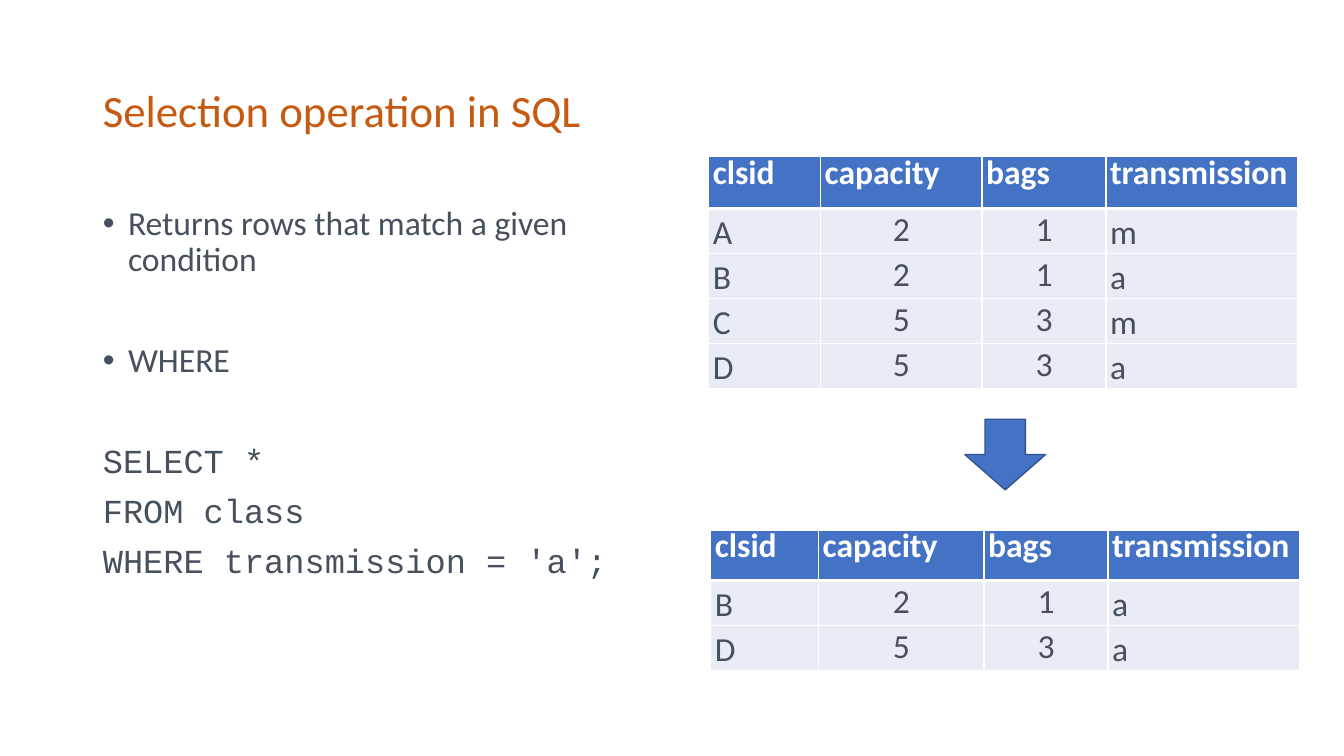
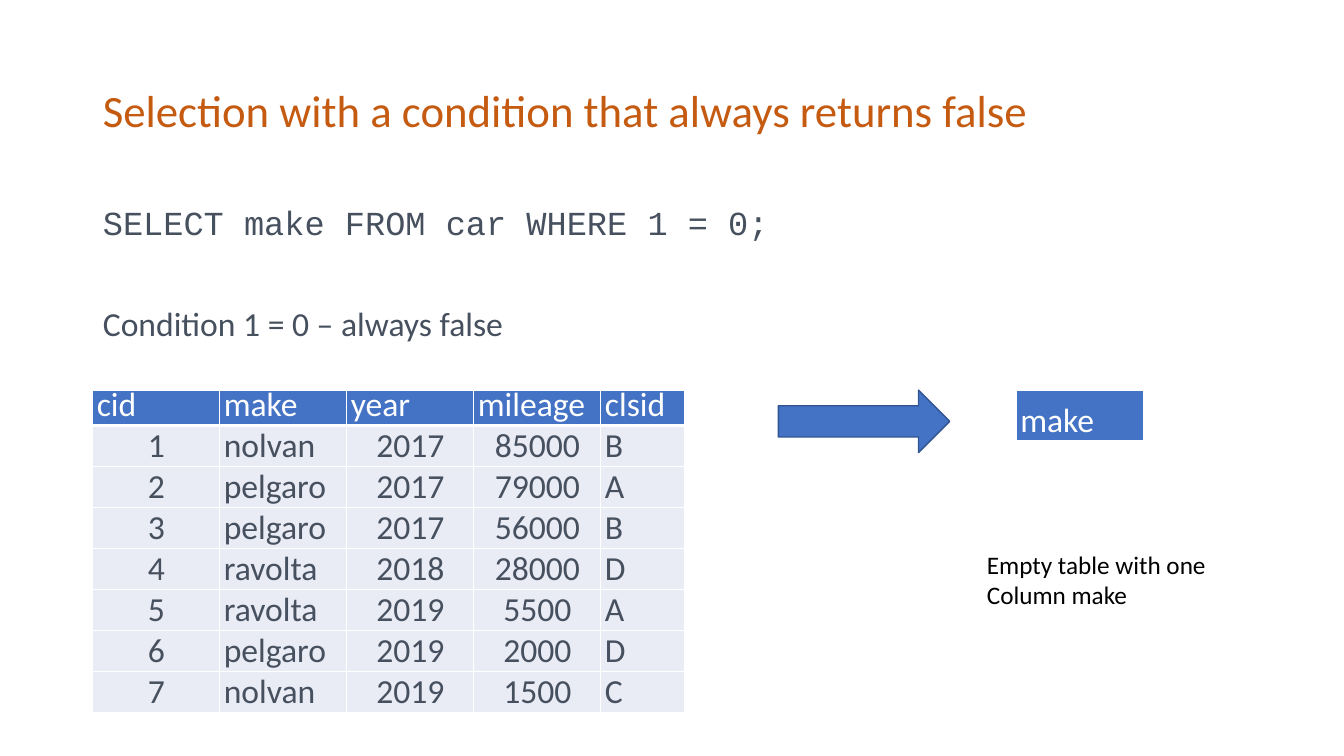
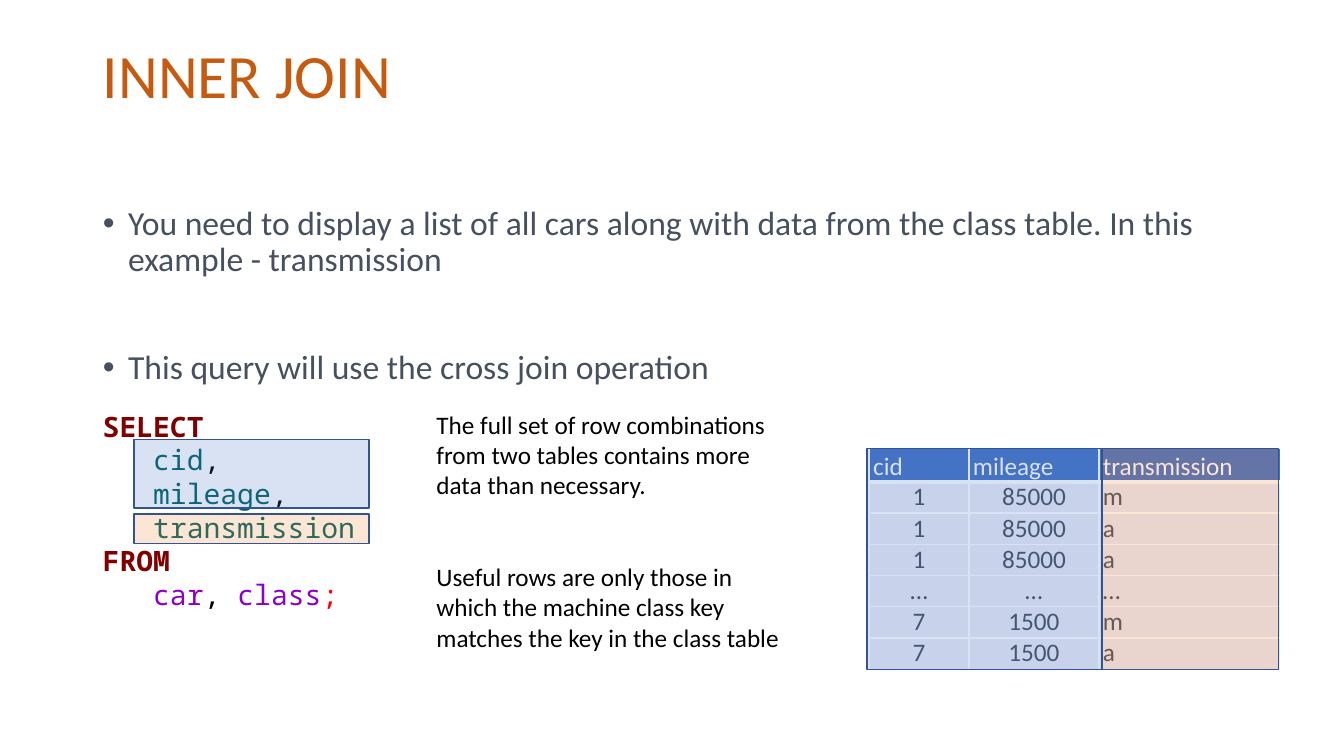
from lxml import etree
from pptx import Presentation
from pptx.dml.color import RGBColor
from pptx.enum.shapes import MSO_SHAPE
from pptx.enum.text import MSO_ANCHOR, MSO_AUTO_SIZE, PP_ALIGN
from pptx.oxml.ns import qn
from pptx.util import Inches, Pt

COLORS = {
    "title": "C55A11", "text": "46505E", "black": "000000", "white": "FFFFFF",
    "blue": "4472C4", "orange": "ED7D31", "edge": "325491", "row": "E9EBF5",
    "key": "800000", "column": "006464", "table": "8E00C6", "mark": "FF0000",
}
SANS, CODE, MONO = "Calibri", "Courier New", "Noto Sans Mono"
TOP, MIDDLE, BOTTOM = MSO_ANCHOR.TOP, MSO_ANCHOR.MIDDLE, MSO_ANCHOR.BOTTOM
ALIGN = {"l": PP_ALIGN.LEFT, "c": PP_ALIGN.CENTER}
RECT, DOWN, RIGHT = MSO_SHAPE.RECTANGLE, MSO_SHAPE.DOWN_ARROW, MSO_SHAPE.RIGHT_ARROW
WIDE, HIGH = 13.33, 7.5
LEFT, WIDTH, BODY = 0.92, 11.5, 2.0
GAP = 46  # points before a new group in a list


def color(name):
    return RGBColor.from_string(COLORS[name])


def place(shape, x, y, w, h):
    shape.left, shape.top = Inches(x), Inches(y)
    shape.width, shape.height = Inches(w), Inches(h)


def mark(para, bullet):
    """Set the bullet, or turn off the one the template gives."""
    props = para._p.get_or_add_pPr()
    props.set("marL", str(Inches(0.25) if bullet else 0))
    props.set("indent", str(Inches(-0.25) if bullet else 0))
    if bullet:
        etree.SubElement(props, qn("a:buChar")).set("char", "•")
    else:
        etree.SubElement(props, qn("a:buNone"))


def write(frame, paras, **base):
    """Fill a frame; a paragraph or run is a text or a (text, format) pair."""
    for i, item in enumerate(paras):
        runs, own = item if isinstance(item, tuple) else (item, {})
        style = {**base, **own}
        para = frame.paragraphs[0] if i == 0 else frame.add_paragraph()
        if "bullet" in style:
            mark(para, style["bullet"])
        para.alignment = ALIGN[style.get("align", "l")]
        para.line_spacing = style.get("line", 1.0)
        para.space_before = Pt(style.get("before", 0) if i else 0)
        para.space_after = Pt(style.get("after", 0))
        for piece in [runs] if isinstance(runs, str) else runs:
            words, extra = piece if isinstance(piece, tuple) else (piece, {})
            look = {**style, **extra}
            run = para.add_run()
            run.text = words
            run.font.name = look.get("font", SANS)
            run.font.size = Pt(look.get("size", 24))
            run.font.bold = look.get("bold", False)
            run.font.color.rgb = color(look.get("color", "text"))


def page(deck, title, paras, w=WIDTH, h=1.65, size=32, anchor=MIDDLE):
    """Add a slide with its title and list."""
    slide = deck.slides.add_slide(deck.slide_layouts[1])
    head, body = slide.placeholders
    place(head, LEFT, 0.4, WIDTH, 1.45)
    place(body, LEFT, BODY, w, h)
    for shape in (head, body):
        shape.text_frame.auto_size = MSO_AUTO_SIZE.NONE
        shape.text_frame.word_wrap = True
    head.text_frame.vertical_anchor = anchor
    body.text_frame.vertical_anchor = TOP
    write(head.text_frame, [title], size=size, color="title", line=0.9)
    write(body.text_frame, paras, line=0.9, before=10, bullet=True)
    return slide


def note(slide, x, y, w, h, paras, wrap=False, **style):
    box = slide.shapes.add_textbox(Inches(x), Inches(y), Inches(w), Inches(h))
    box.text_frame.word_wrap = wrap
    box.text_frame.auto_size = MSO_AUTO_SIZE.SHAPE_TO_FIT_TEXT
    write(box.text_frame, paras, **style)


def block(slide, kind, x, y, w, h, fill="blue", alpha=None):
    shape = slide.shapes.add_shape(kind, Inches(x), Inches(y), Inches(w), Inches(h))
    shape.shadow.inherit = False
    shape.fill.solid()
    shape.fill.fore_color.rgb = color(fill)
    if alpha:
        tint = shape._element.spPr.find(qn("a:solidFill"))[0]
        etree.SubElement(tint, qn("a:alpha")).set("val", str(alpha * 1000))
    shape.line.color.rgb = color("edge")
    shape.line.width = Pt(1)


def rule(cell, head):
    """Draw white cell borders, heavier below a header."""
    props = cell._tc.get_or_add_tcPr()
    for side in "LRTB":
        line = etree.SubElement(props, qn("a:ln" + side))
        line.set("w", str(Pt(3 if head and side == "B" else 1)))
        fill = etree.SubElement(line, qn("a:solidFill"))
        etree.SubElement(fill, qn("a:srgbClr")).set("val", COLORS["white"])


def grid(slide, x, y, cols, rows, aligns, top, step=0.3, size=24,
         bold=False, anchor=BOTTOM, inset=0, loose=False):
    """Add a table; loose opens up the left-aligned cells."""
    frame = slide.shapes.add_table(
        len(rows), len(cols), Inches(x), Inches(y), Inches(sum(cols)),
        Inches(top + step * (len(rows) - 1)))
    table = frame.table
    table.horz_banding = False
    for col, w in zip(table.columns, cols):
        col.width = Inches(w)
    for r, row in enumerate(rows):
        head = r == 0
        table.rows[r].height = Inches(top if head else step)
        for c, words in enumerate(row.split()):
            cell = table.cell(r, c)
            rule(cell, head)
            cell.fill.solid()
            cell.fill.fore_color.rgb = color("blue" if head else "row")
            cell.margin_left = cell.margin_right = Inches(0.04)
            cell.margin_top, cell.margin_bottom = Inches(inset), 0
            cell.vertical_anchor = anchor if head else TOP
            if head:
                style = {"line": Pt(15.8), "after": 15, "color": "white", "bold": bold}
            else:
                style = {"align": aligns[c]}
                if loose and aligns[c] == "l":
                    style.update(line=1.07, after=8)
            write(cell.text_frame, [words], size=size, **style)


def choice(slide, x, y):
    """Class table, arrow down, and the rows that match."""
    names = "clsid capacity bags transmission"
    look = {"aligns": "lccl", "step": 0.44, "bold": True, "anchor": MIDDLE,
            "inset": 0.01, "loose": True}
    full = [names, "A 2 1 m", "B 2 1 a", "C 5 3 m", "D 5 3 a"]
    grid(slide, x, y, [1.11, 1.6, 1.23, 1.9], full, top=0.52, **look)
    block(slide, DOWN, x + 2.54, y + 2.61, 0.8, 0.7)
    grid(slide, x + 0.02, y + 3.71, [1.07, 1.64, 1.23, 1.9],
         [names, "B 2 1 a", "D 5 3 a"], top=0.5, **look)


def empty(slide, x, y):
    """Car table, arrow right, and a result without rows."""
    cars = ["cid make year mileage clsid",
            "1 nolvan 2017 85000 B", "2 pelgaro 2017 79000 A",
            "3 pelgaro 2017 56000 B", "4 ravolta 2018 28000 D",
            "5 ravolta 2019 5500 A", "6 pelgaro 2019 2000 D",
            "7 nolvan 2019 1500 C"]
    grid(slide, x, y, [1.26] * 4 + [0.83], cars, "clccl", top=0.35, step=0.4)
    grid(slide, x + 9.16, y, [1.26], ["make"], "l", top=0.51)
    block(slide, RIGHT, x + 6.8, y, 1.7, 0.62)
    note(slide, x + 8.77, y + 1.53, 2.4, 0.71,
         ["Empty table with one", "Column make"], size=18, color="black")


def query(slide, x, y):
    """Query text with its two groups of columns tinted."""
    key = {"color": "key", "bold": True}
    col, tab, end = {"color": "column"}, {"color": "table"}, {"color": "mark"}
    note(slide, x, y, 2.89, 2.12, [
        ("SELECT", key),
        [("   cid", col), ","],
        [("   mileage", col), ","],
        ("   transmission", col),
        ("FROM", key),
        [("   car", tab), ", ", ("class", tab), (";", end)],
    ], font=MONO, size=20, color="black")
    block(slide, RECT, x + 0.41, y + 0.35, 2.33, 0.68, alpha=20)
    block(slide, RECT, x + 0.41, y + 1.09, 2.33, 0.29, "orange", 20)


def joined(slide, x, y):
    """Joined rows, tinted by the table they come from."""
    rows = ["cid mileage transmission", "1 85000 m", "1 85000 a", "1 85000 a",
            "… … …", "7 1500 m", "7 1500 a"]
    grid(slide, x + 0.02, y, [0.99, 1.29, 1.8], rows, "ccl", top=0.33,
         step=0.31, size=18)
    block(slide, RECT, x, y, 2.33, 2.19, alpha=20)
    block(slide, RECT, x + 2.33, y, 1.75, 2.19, "orange", 20)


def main():
    deck = Presentation()
    deck.slide_width, deck.slide_height = Inches(WIDE), Inches(HIGH)
    code = {"font": CODE, "bullet": False}

    slide = page(deck, "Selection operation in SQL", [
        "Returns rows that match a given condition",
        ("WHERE", {"before": GAP}),
        ("SELECT *", {**code, "before": GAP}),
        ("FROM class", code),
        ("WHERE transmission = 'a';", code),
    ], w=5.23, h=4.76)
    choice(slide, 7.03, 1.55)

    slide = page(deck, "Selection with a condition that always returns false", [
        ("SELECT make FROM car WHERE 1 = 0;", code),
        ("Condition 1 = 0 – always false", {"bullet": False, "before": GAP}),
    ])
    empty(slide, LEFT, 3.87)

    slide = page(deck, "INNER JOIN", [
        "You need to display a list of all cars along with data from the class "
        "table. In this example - transmission",
        ("This query will use the cross join operation", {"before": 51}),
    ], h=2.02, size=44, anchor=TOP)
    query(slide, LEFT, 4.01)
    joined(slide, 8.6, 4.45)
    note(slide, 4.23, 4.01, 3.69, 2.52, [
        "The full set of row combinations from two tables contains more data "
        "than necessary.",
        "Useful rows are only those in which the machine class key matches the "
        "key in the class table",
    ], wrap=True, size=18, color="black", before=44)

    deck.save("out.pptx")


if __name__ == "__main__":
    main()
